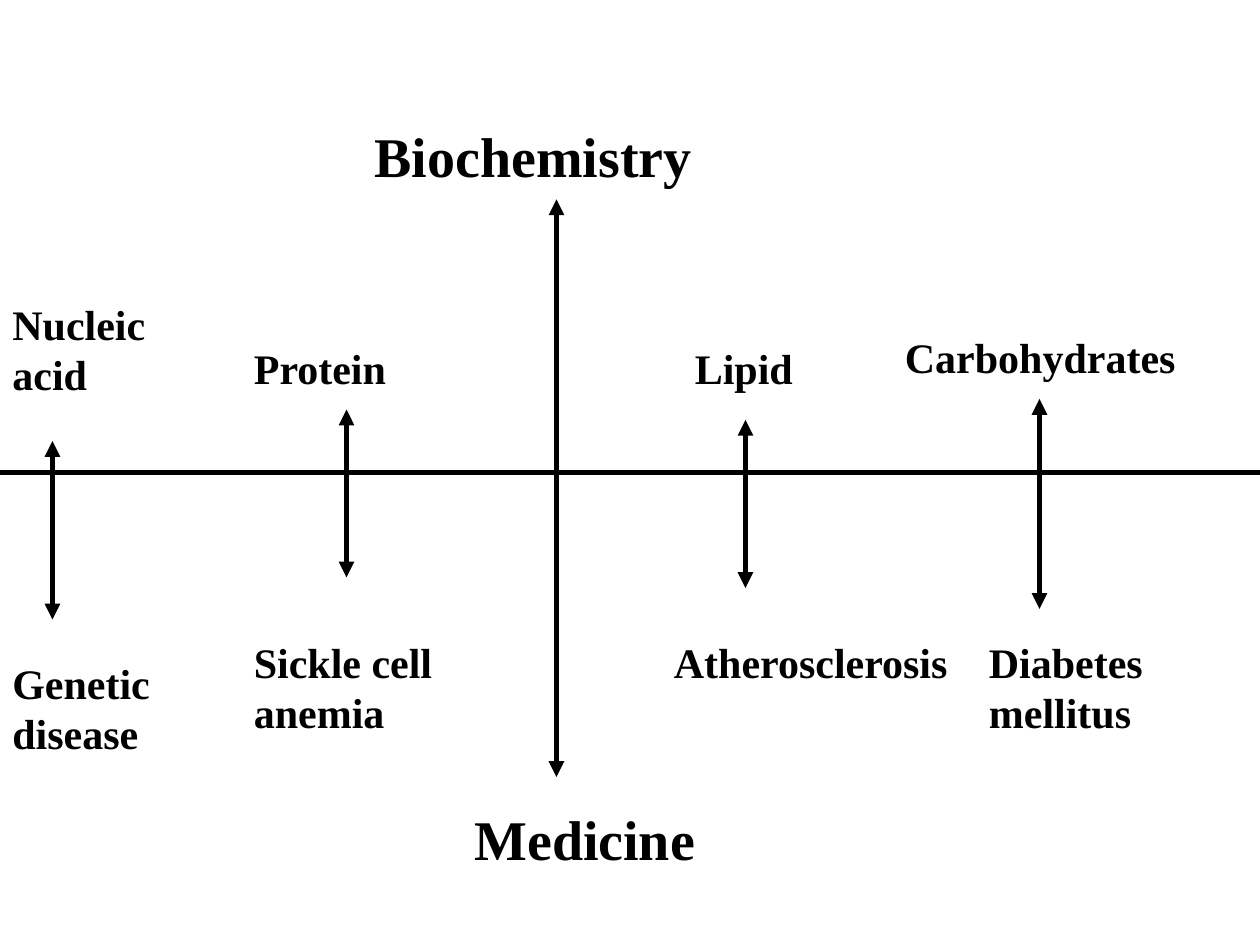
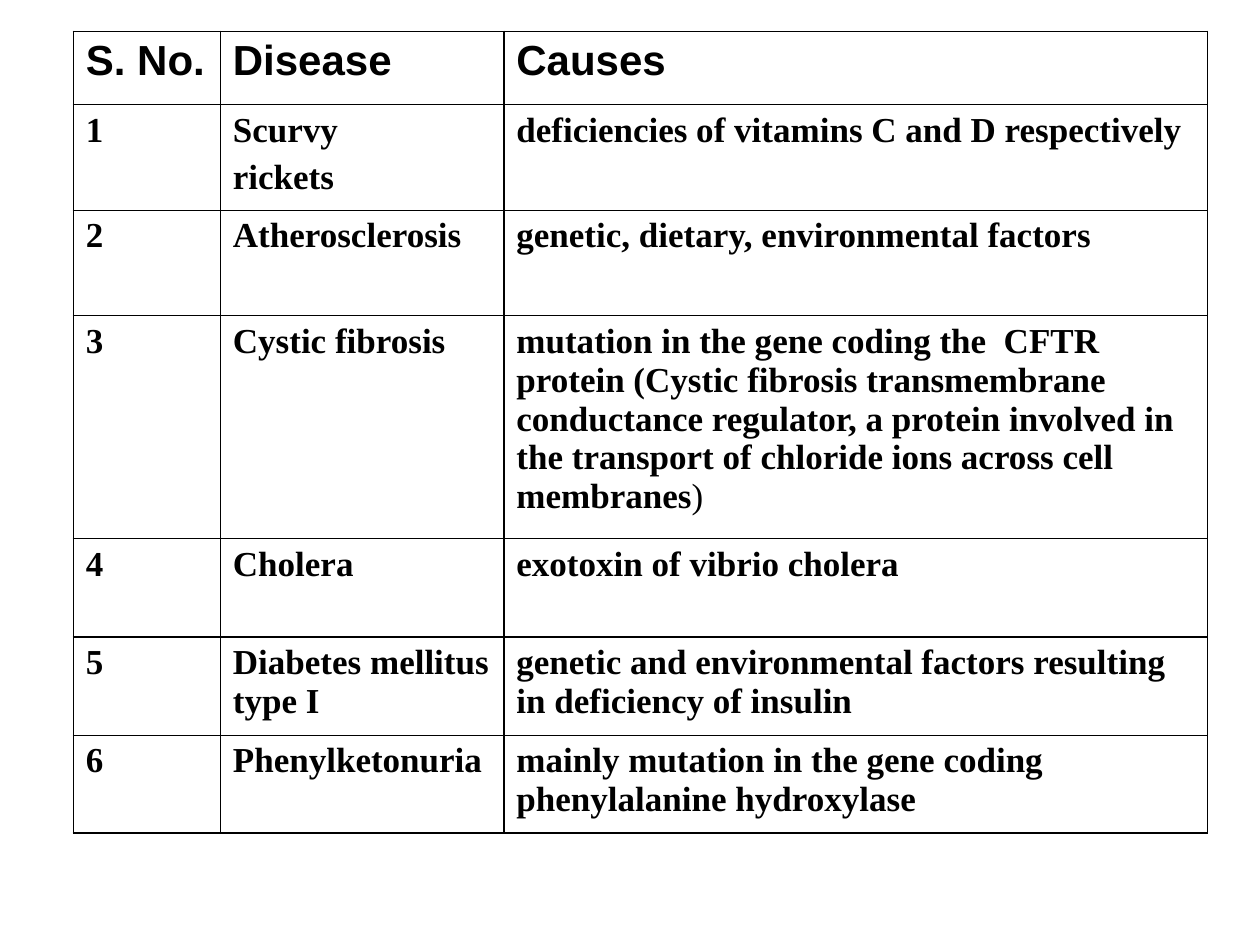
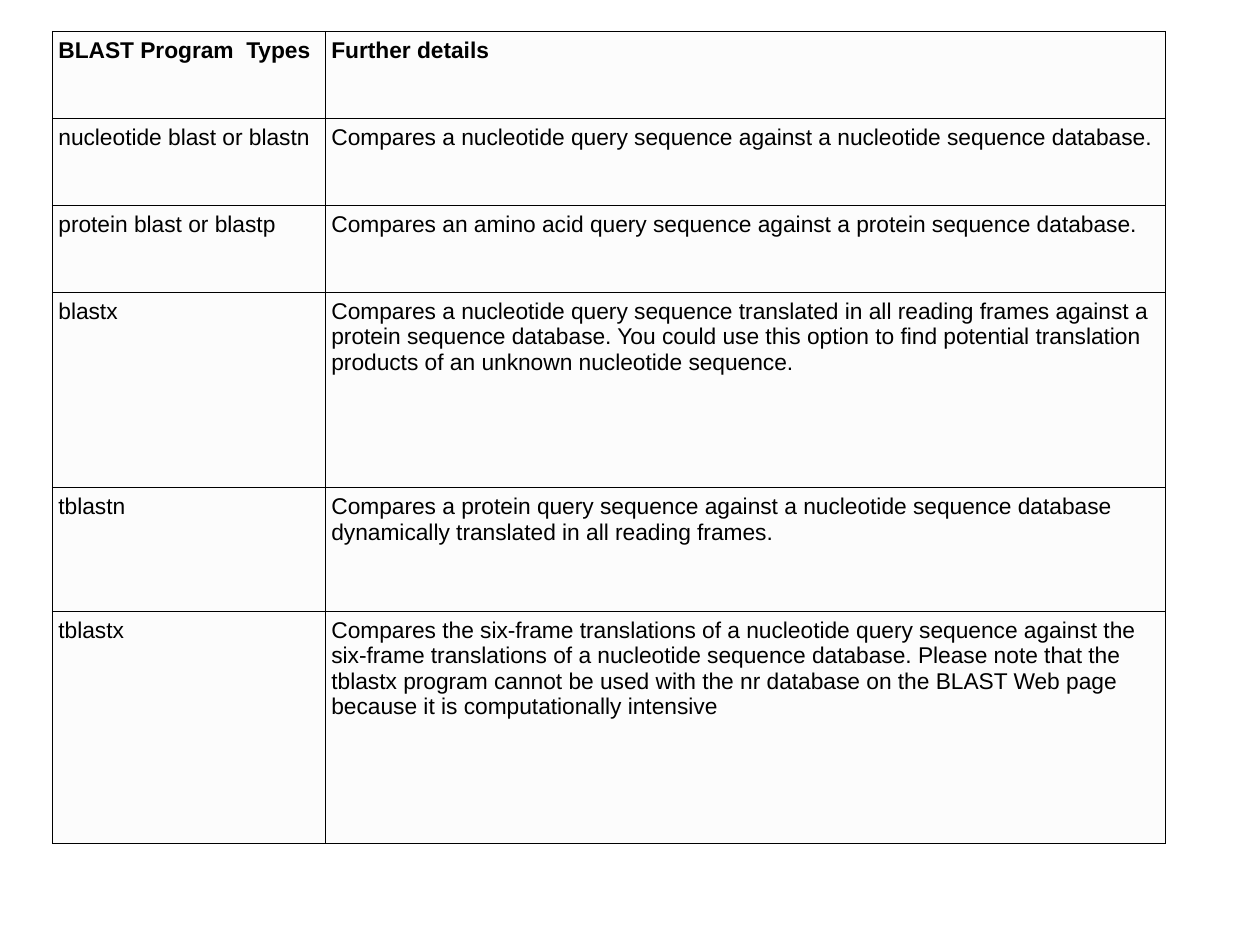
from lxml.etree import SubElement as Sub
from pptx import Presentation
from pptx.dml.color import RGBColor
from pptx.enum.shapes import MSO_CONNECTOR as Link
from pptx.enum.text import MSO_ANCHOR as Anchor, PP_ALIGN as Align
from pptx.oxml.ns import qn
from pptx.util import Pt

BLACK = RGBColor(0x00, 0x00, 0x00)
PALE = RGBColor(0xFC, 0xFC, 0xFC)
SERIF, SANS = "Times New Roman", "Arial"
WIDE, HIGH = 720, 540
AXIS = 270
THICK, THIN, EDGE = 3, 0.75, 1.08

# text, size, left, top, width, height
LABELS = [
    ("Biochemistry", 32, 207, 66, 306, 46),
    ("Nucleic acid", 24, 0, 167, 132, 65),
    ("Protein", 24, 138, 192, 132, 36),
    ("Lipid", 24, 390, 192, 108, 36),
    ("Carbohydrates", 24, 510, 186, 210, 36),
    ("Genetic disease", 24, 0, 372, 144, 65),
    ("Sickle cell anemia", 24, 138, 360, 144, 65),
    ("Medicine", 32, 264, 456, 150, 46),
    ("Atherosclerosis", 24, 378, 360, 181, 36),
    ("Diabetes mellitus", 24, 558, 360, 132, 65),
]
# x, top, bottom
ARROWS = [(30, 252, 354), (198, 234, 330), (318, 114, 444),
          (426, 240, 336), (594, 228, 348)]

# In a cell, a line break starts a paragraph and a bar ends the bold part.
CAUSES = {
    "left": 42, "top": 18, "cols": [84, 162, 402],
    "heights": [41.75, 60.4, 60.4, 127.4, 56.1, 56.1, 56.1],
    "pad": 7.1, "edge": EDGE, "fill": None,
    "head": {"name": SANS, "size": Pt(24), "bold": True},
    "body": {"name": SERIF, "size": Pt(20), "bold": True},
    "rows": [
        ("S. No.", "Disease", "Causes"),
        ("1", "Scurvy\nrickets",
         "deficiencies of vitamins C and D respectively"),
        ("2", "Atherosclerosis", "genetic, dietary, environmental factors"),
        ("3", "Cystic fibrosis",
         "mutation in the gene coding the  CFTR protein (Cystic fibrosis "
         "transmembrane conductance regulator, a protein involved in the "
         "transport of chloride ions across cell membranes|)"),
        ("4", "Cholera", "exotoxin of vibrio cholera"),
        ("5", "Diabetes mellitus type I",
         "genetic and environmental factors resulting in deficiency of "
         "insulin"),
        ("6", "Phenylketonuria",
         "mainly mutation in the gene coding phenylalanine hydroxylase"),
    ],
}
BLAST = {
    "left": 30, "top": 18, "cols": [156, 480],
    "heights": [49.75, 49.75, 49.75, 111.5, 70.75, 132.5],
    "pad": 3.4, "edge": THIN, "fill": PALE,
    "head": {"name": SANS, "size": Pt(13), "bold": True},
    "body": {"name": SANS, "size": Pt(13), "bold": False},
    "rows": [
        ("BLAST Program  Types", "Further details"),
        ("nucleotide blast or blastn",
         "Compares a nucleotide query sequence against a nucleotide sequence "
         "database."),
        ("protein blast or blastp",
         "Compares an amino acid query sequence against a protein sequence "
         "database."),
        ("blastx",
         "Compares a nucleotide query sequence translated in all reading "
         "frames against a protein sequence database. You could use this "
         "option to find potential translation products of an unknown "
         "nucleotide sequence."),
        ("tblastn",
         "Compares a protein query sequence against a nucleotide sequence "
         "database dynamically translated in all reading frames."),
        ("tblastx",
         "Compares the six-frame translations of a nucleotide query sequence "
         "against the six-frame translations of a nucleotide sequence "
         "database. Please note that the tblastx program cannot be used with "
         "the nr database on the BLAST Web page because it is "
         "computationally intensive"),
    ],
}


def style(font, form):
    for key, value in form.items():
        setattr(font, key, value)
    font.color.rgb = BLACK


def write(frame, text, form):
    frame.word_wrap = True
    for i, line in enumerate(text.split("\n")):
        para = frame.add_paragraph() if i else frame.paragraphs[0]
        para.alignment = Align.LEFT
        if i:
            para.space_before = Pt(5)
        for j, part in enumerate(line.split("|")):
            run = para.add_run()
            run.text = part
            style(run.font, form if j == 0 else {**form, "bold": False})


def label(slide, text, size, x, y, w, h):
    pen = slide.shapes.build_freeform(Pt(x), Pt(y))
    pen.add_line_segments([(Pt(x + w), Pt(y)), (Pt(x + w), Pt(y + h)),
                           (Pt(x), Pt(y + h))])
    shape = pen.convert_to_shape()
    shape.shadow.inherit = False
    shape.fill.background()
    shape.line.fill.background()
    shape.text_frame.vertical_anchor = Anchor.TOP
    write(shape.text_frame, text,
          {"name": SERIF, "size": Pt(size), "bold": True})


def rule(slide, x1, y1, x2, y2, heads=False):
    line = slide.shapes.add_connector(
        Link.STRAIGHT, Pt(x1), Pt(y1), Pt(x2), Pt(y2))
    line.line.color.rgb = BLACK
    line.line.width = Pt(THICK)
    props = line.element.spPr
    if heads:
        for tag in ("a:headEnd", "a:tailEnd"):
            Sub(props.find(qn("a:ln")), qn(tag), type="triangle")
    Sub(props, qn("a:effectLst"))


def border(cell, widths):
    """Draw the left, right, top and bottom borders, in that order."""
    props = cell._tc.get_or_add_tcPr()
    for side, width in zip("LRTB", widths):
        line = Sub(props, qn("a:ln" + side), w=str(int(Pt(width))))
        fill = Sub(line, qn("a:solidFill"))
        Sub(fill, qn("a:srgbClr"), val=str(BLACK))


def grid(slide, data):
    rows, cols, heights = data["rows"], data["cols"], data["heights"]
    table = slide.shapes.add_table(
        len(rows), len(cols), Pt(data["left"]), Pt(data["top"]),
        Pt(sum(cols)), Pt(sum(heights))).table
    table.first_row = table.horz_banding = False
    for col, width in zip(table.columns, cols):
        col.width = Pt(width)
    for r, row in enumerate(rows):
        table.rows[r].height = Pt(heights[r])
        for c, text in enumerate(row):
            cell = table.cell(r, c)
            cell.margin_left = cell.margin_right = Pt(data["pad"])
            outer = (c == 0, c == len(cols) - 1, r == 0, r == len(rows) - 1)
            border(cell, [data["edge"] if out else THIN for out in outer])
            if data["fill"] is None:
                cell.fill.background()
            else:
                cell.fill.solid()
                cell.fill.fore_color.rgb = data["fill"]
            write(cell.text_frame, text, data["body" if r else "head"])


def chart_links(slide):
    """Place the biochemistry terms above the axis and diseases below."""
    for item in LABELS:
        label(slide, *item)
    rule(slide, 0, AXIS, WIDE, AXIS)
    for x, top, low in ARROWS:
        rule(slide, x, top, x, low, heads=True)


def main():
    deck = Presentation()
    deck.slide_width, deck.slide_height = Pt(WIDE), Pt(HIGH)
    blank = deck.slide_layouts[6]
    chart_links(deck.slides.add_slide(blank))
    for data in (CAUSES, BLAST):
        grid(deck.slides.add_slide(blank), data)
    deck.save("out.pptx")


if __name__ == "__main__":
    main()
